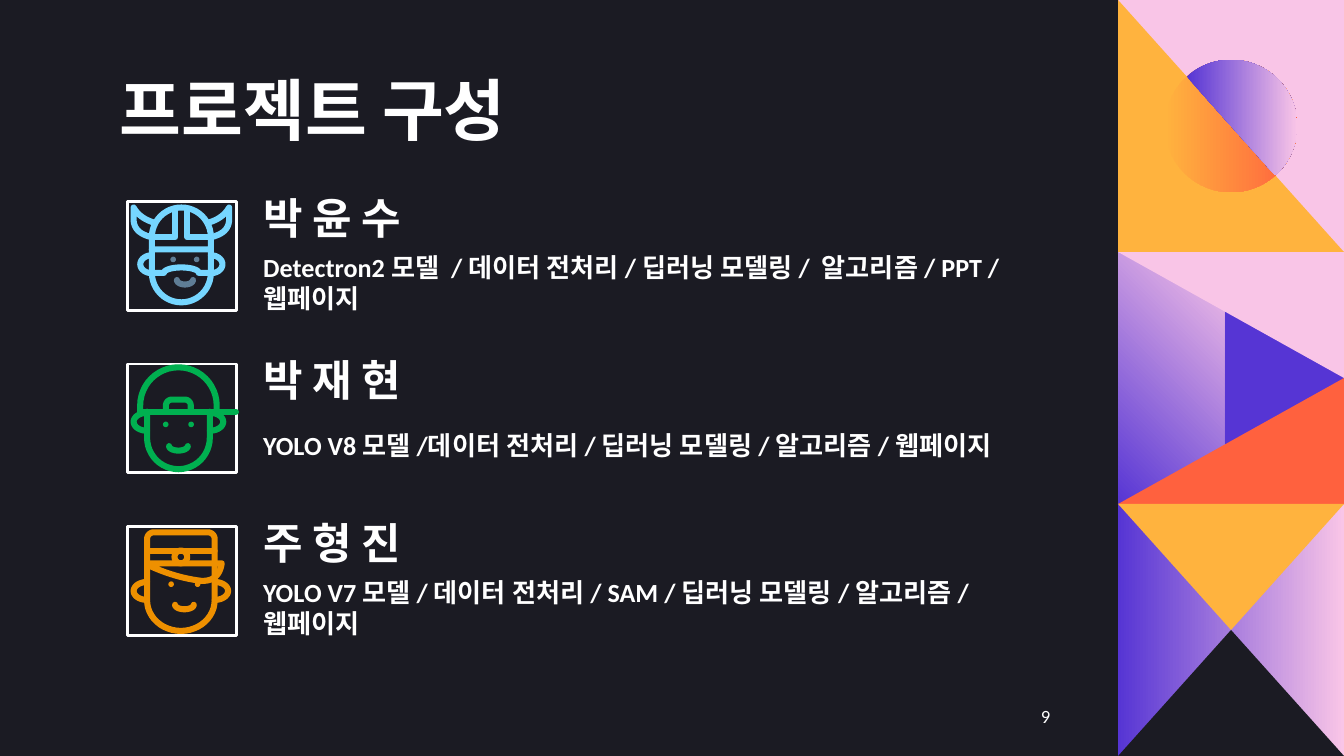
from dataclasses import dataclass
from math import atan2, cos, degrees, radians, sin

from lxml.etree import SubElement
from pptx import Presentation
from pptx.dml.color import RGBColor
from pptx.enum.shapes import MSO_SHAPE
from pptx.enum.text import MSO_ANCHOR, PP_ALIGN
from pptx.oxml.ns import qn
from pptx.util import Pt


@dataclass(frozen=True)
class Theme:
    dark: str = "1B1B23"
    white: str = "FFFFFF"
    pink: str = "F9C5E7"
    violet: str = "5635D4"
    amber: str = "FFB33E"
    coral: str = "FF613E"
    sky: str = "76D6FF"
    slate: str = "5F7D95"
    green: str = "00B050"
    orange: str = "EE9000"
    font: str = "Calibri"
    title: float = 36
    name: float = 23
    task: float = 14
    number: float = 10
    stroke: float = 3.25
    frame: float = 1.5


THEME = Theme()


def color(code):
    return RGBColor.from_string(code)


def paint(shape, fill=None, line=None, weight=0, angle=0):
    shape.shadow.inherit = False
    if fill is None:
        shape.fill.background()
    elif isinstance(fill, tuple):
        shape.fill.gradient()
        shape.fill.gradient_angle = angle
        for stop, code in zip(shape.fill.gradient_stops, fill):
            stop.color.rgb = color(code)
    else:
        shape.fill.solid()
        shape.fill.fore_color.rgb = color(fill)
    if line is None:
        shape.line.fill.background()
    else:
        shape.line.color.rgb = color(line)
        shape.line.width = Pt(weight)


def add_preset(slide, kind, left, top, width, height, **style):
    shape = slide.shapes.add_shape(kind, Pt(left), Pt(top), Pt(width), Pt(height))
    paint(shape, **style)


def add_outline(slide, left, top, contours, close=False, **style):
    placed = [[(Pt(left + x), Pt(top + y)) for x, y in points] for points in contours]
    builder = slide.shapes.build_freeform(*placed[0][0])
    for index, points in enumerate(placed):
        if index:
            builder.move_to(*points[0])
        builder.add_line_segments(points[1:], close=close)
    shape = builder.convert_to_shape()
    paint(shape, **style)
    return shape


def add_strokes(slide, left, top, contours, ink):
    shape = add_outline(slide, left, top, contours, line=ink, weight=THEME.stroke)
    outline = shape.element.spPr.find(qn("a:ln"))
    outline.set("cap", "rnd")
    SubElement(outline, qn("a:round"))


def arc(x, y, rx, ry, start, end, steps=24):
    angles = [radians(start + (end - start) * i / steps) for i in range(steps + 1)]
    return [(x + rx * cos(a), y + ry * sin(a)) for a in angles]


def bend(start, control, end, steps=12):
    ts = [i / steps for i in range(steps + 1)]
    return [tuple((1 - t) ** 2 * a + 2 * t * (1 - t) * b + t * t * c
                  for a, b, c in zip(start, control, end)) for t in ts]


def add_text(slide, text, left, top, width, height, size, bold=False, align=PP_ALIGN.LEFT):
    frame = slide.shapes.add_textbox(Pt(left), Pt(top), Pt(width), Pt(height)).text_frame
    frame.word_wrap = True
    frame.vertical_anchor = MSO_ANCHOR.MIDDLE
    frame.margin_left = frame.margin_right = frame.margin_top = frame.margin_bottom = Pt(7.2)
    paragraph = frame.paragraphs[0]
    paragraph.alignment = align
    run = paragraph.add_run()
    run.text = text
    run.font.name = THEME.font
    run.font.size = Pt(size)
    run.font.bold = bold
    run.font.color.rgb = color(THEME.white)


def head(x, brow, chin, rx, ry, ear_y, ear_rx):
    jaw = [(x + rx, brow), *arc(x, chin, rx, ry, 0, 180), (x - rx, brow)]
    return [jaw, arc(x - rx, ear_y, ear_rx, 4.8, 90, 270),
            arc(x + rx, ear_y, ear_rx, 4.8, -90, 90)]


def viking():
    x, r = 28.8, 15.8
    horn = [*bend((14, 11.2), (6.5, 9), (3.2, 3.2)),
            *bend((3.2, 9.4), (3.2, 17), (13, 19.1))]
    half = [horn, [(13, 19.1), (25.6, 19.1), (25.6, 4)]]
    mirrored = [[(2 * x - px, py) for px, py in part] for part in half]
    dome = [(x - r, 25.6), *arc(x, 19, r, r, 180, 360), (x + r, 25.6), (x - r, 25.6)]
    moustache = [(x - r, 38.2), *arc(x, 38.2, 9.3, 2.9, 180, 360), (x + r, 38.2)]
    return [*head(x, 25.6, 38.2, r, r, 33.6, 6.2), *half, *mirrored, dome, moustache]


def cap():
    x = 27.2
    crown = [(x - 20.5, 25.6), *arc(x, 22.3, 20.5, 20.5, 180, 360), (x + 20.5, 25.6)]
    badge = [(20.5, 25.6), *arc(23.7, 22.3, 3.2, 3.2, 180, 270),
             *arc(30.6, 22.3, 3.2, 3.2, 270, 360), (33.8, 25.6)]
    brim = [(x - 20.5, 25.6), (58, 25.6)]
    return [*head(x, 25.6, 39.6, 16.8, 16.8, 31, 7.2), crown, badge, brim]


def bellhop():
    x, r = 28.5, 18.1
    crown = [(x - r, 20), *arc(14, 6.8, 3.6, 3.6, 180, 270),
             *arc(43, 6.8, 3.6, 3.6, 270, 360), (x + r, 20)]
    band = [(x - r, 13), (x + r, 13)]
    visor = [(x - r, 19.8), *bend((50.4, 19.8), (49, 29.5), (39.6, 29.2)),
             *bend((39.6, 29.2), (25, 27.5), (x - r, 20.5))]
    button = arc(x, 16.4, 3.4, 3.4, 0, 360)
    return [*head(x, 20, 39.6, r, 16.4, 34.6, 7.2), crown, band, visor, button]


def add_portrait(slide, left, top, side, strokes, ink, face_ink, face):
    add_preset(slide, MSO_SHAPE.RECTANGLE, left, top, side, side,
               line=THEME.white, weight=THEME.frame)
    x, eye_y, spread, mouth_y, mouth_rx = face
    for eye_x in (x - spread, x + spread):
        add_preset(slide, MSO_SHAPE.OVAL, left + eye_x - 1.5, top + eye_y - 1.5, 3, 3,
                   fill=face_ink)
    add_strokes(slide, left, top, [arc(x, mouth_y, mouth_rx, 2.4, 180, 0)], face_ink)
    add_strokes(slide, left, top, strokes, ink)


def add_member(slide, left, top, side, name, tasks, tasks_width, **portrait):
    text_left = left + 65.5
    add_text(slide, name, text_left, top - 14.4, 184, 45.4, THEME.name, bold=True)
    add_text(slide, tasks, text_left, top + 20.7, tasks_width, 45.4, THEME.task, bold=True)
    add_portrait(slide, left, top, side, **portrait)


def add_art_panel(slide, left, top, width, height):
    tile = height / 3
    mid_x, mid_y = width / 2, tile / 2
    glow = (THEME.violet, THEME.pink)
    tops = [top + tile * i for i in range(3)]

    def block(row, block_width, fill, angle=0):
        add_preset(slide, MSO_SHAPE.RECTANGLE, left, tops[row], block_width, tile,
                   fill=fill, angle=angle)

    def cut(row, points, fill):
        add_outline(slide, left, tops[row], [points], close=True, fill=fill)

    diagonal = degrees(atan2(tile, width))
    block(0, width, THEME.pink)
    cut(0, [(0, 0), (width, tile), (0, tile)], THEME.amber)
    add_preset(slide, MSO_SHAPE.OVAL, left + mid_x - 35.5, top + mid_y - 35.5, 71, 71,
               fill=(THEME.amber, THEME.coral))
    cut(0, arc(mid_x, mid_y, 35.5, 35.5, diagonal - 180, diagonal, 48), glow)

    block(1, width, THEME.violet)
    block(1, 57, glow, angle=45)
    cut(1, [(0, 0), (width, 0), (width, mid_y)], THEME.pink)
    cut(1, [(0, tile), (width, mid_y), (width, tile)], THEME.coral)

    block(2, width, glow)
    cut(2, [(0, 0), (width, 0), (mid_x, mid_y)], THEME.amber)
    cut(2, [(0, tile), (width, tile), (mid_x, mid_y)], THEME.dark)


MEMBERS = [
    dict(name="박 윤 수", tasks_width=452,
         tasks="Detectron2 모델  / 데이터 전처리 / 딥러닝 모델링 /  알고리즘 / PPT / 웹페이지",
         strokes=viking(), ink=THEME.sky, face_ink=THEME.slate,
         face=(30.7, 31, 6.3, 42, 4.3)),
    dict(name="박 재 현", tasks_width=430,
         tasks="YOLO V8 모델 /데이터 전처리 / 딥러닝 모델링 / 알고리즘 / 웹페이지",
         strokes=cap(), ink=THEME.green, face_ink=THEME.green,
         face=(27.2, 32.4, 6.8, 44, 5)),
    dict(name="주 형 진", tasks_width=446,
         tasks="YOLO V7 모델 / 데이터 전처리 / SAM / 딥러닝 모델링 / 알고리즘 / 웹페이지",
         strokes=bellhop(), ink=THEME.orange, face_ink=THEME.orange,
         face=(30.4, 31, 7.1, 42, 5)),
]


def main():
    deck = Presentation()
    deck.slide_width, deck.slide_height = Pt(720), Pt(405)
    slide = deck.slides.add_slide(deck.slide_layouts[6])
    slide.background.fill.solid()
    slide.background.fill.fore_color.rgb = color(THEME.dark)
    add_art_panel(slide, 599, 0, 121, 405)
    add_text(slide, "9", 538.6, 368, 43.2, 31, THEME.number, align=PP_ALIGN.CENTER)
    add_text(slide, "프로젝트 구성", 57, 35.3, 540, 45.4, THEME.title, bold=True)
    for row, member in enumerate(MEMBERS):
        add_member(slide, 68.4, 108 + 87 * row, 58.3, **member)
    deck.save("out.pptx")


if __name__ == "__main__":
    main()
